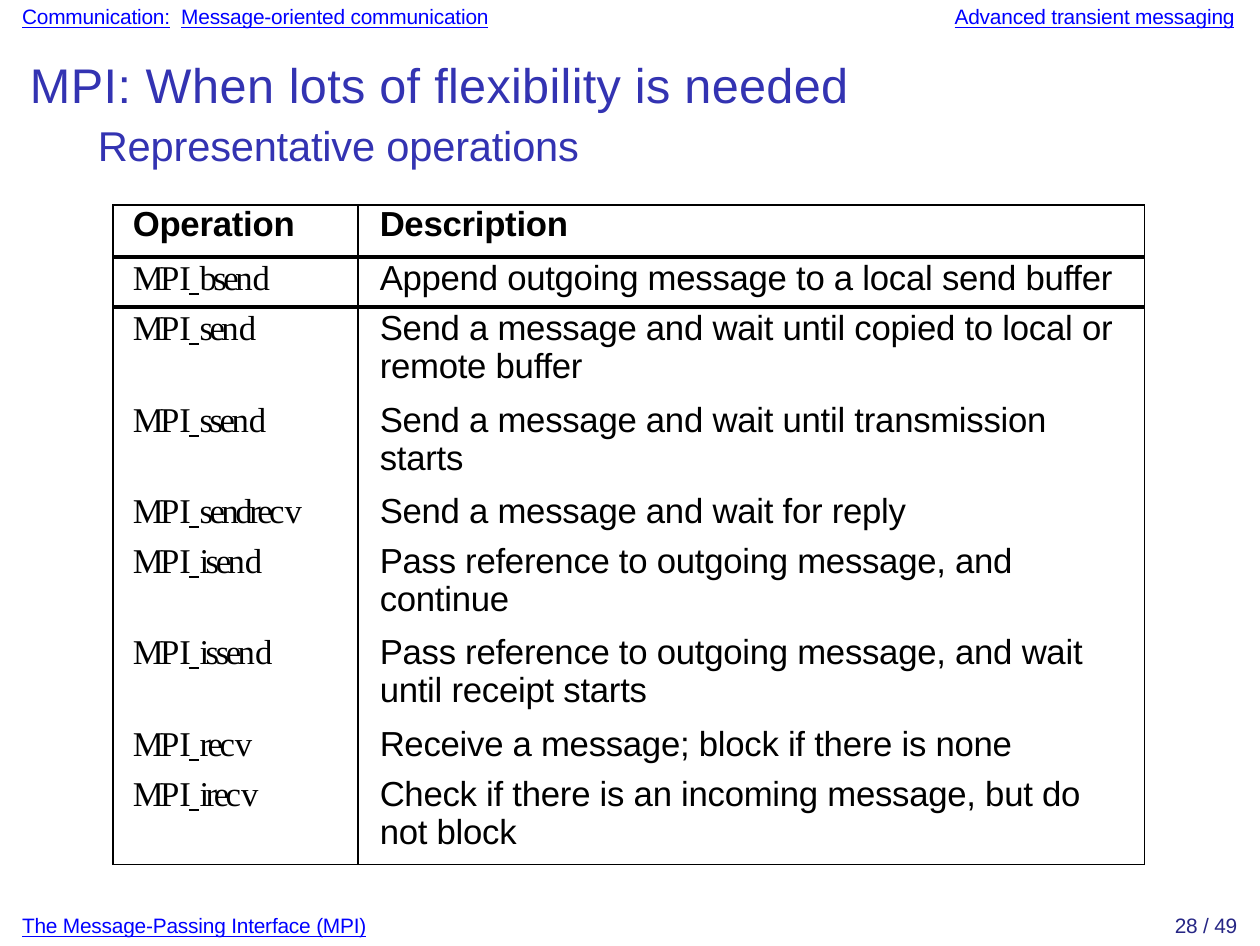
"""Build the slide listing representative MPI operations."""
import pptx
import pptx.dml.color
import pptx.enum.shapes
import pptx.oxml
import pptx.oxml.ns
import pptx.util
from lxml import etree

PX = 3658
BLACK, LINK, TITLE, PAGE = "000000", "0000FF", "3333B2", "262685"
A = pptx.oxml.ns.nsdecls("a")
rgb = pptx.dml.color.RGBColor.from_string


def write(p, runs, size, color, font="Arial", bold=False, underline=False):
    for text, spacing in runs:
        r = p.add_run()
        r.text = text
        r.font.size = pptx.util.Pt(size)
        r.font.name = font
        r.font.bold = bold
        r.font.underline = underline and text != " "
        r.font.color.rgb = rgb(color)
        r._r.get_or_add_rPr().set("spc", str(spacing))


def add_text(s, left, top, width, height, margin_left, margin_top):
    tf = s.shapes.add_textbox(left * PX, top * PX, width * PX, height * PX).text_frame
    tf.word_wrap = True
    tf.margin_left, tf.margin_top = margin_left * PX, margin_top * PX
    tf.margin_right = tf.margin_bottom = 0
    return tf


prs = pptx.Presentation()
prs.slide_width, prs.slide_height = pptx.util.Pt(363), pptx.util.Pt(272.5)
s = prs.slides.add_slide(prs.slide_layouts[6])

navigation = [
    (18, 0, 480, 4, LINK, [("Communication:", -5), (" ", 160),
                           ("Message-oriented communication", -5)]),
    (952, 0, 290, 3, LINK, [("Advanced transient messaging", -5)]),
    (18, 909, 355, 4, LINK, [("The Message-Passing Interface (MPI)", -5)]),
    (1165, 909, 78, 10, PAGE, [("28 / 49", -5)]),
]
for left, top, width, indent, color, runs in navigation:
    tf = add_text(s, left, top, width, 32, indent, 4)
    write(tf.paragraphs[0], runs, 6, color, underline=color == LINK)

tf = add_text(s, 25, 45, 830, 130, 5, 10)
write(tf.paragraphs[0], [("MPI: ", 10), ("When ", 15),
                         ("lots of flexibility is needed", 8)], 14, TITLE)
p = tf.add_paragraph()
p._p.get_or_add_pPr().set("marL", str(68 * PX))
p.space_before = pptx.util.Pt(2)
write(p, [("Representative operations", -5)], 12, TITLE)

operations = [
    ("bsend", "Append outgoing message to a local send buffer", 50),
    ("send", "Send a message and wait until copied to local or remote buffer", 92),
    ("ssend", "Send a message and wait until transmission starts", 91),
    ("sendrecv", "Send a message and wait for reply", 50),
    ("isend", "Pass reference to outgoing message, and continue", 91),
    ("issend", "Pass reference to outgoing message, and wait until receipt starts", 92),
    ("recv", "Receive a message; block if there is none", 50),
    ("irecv", "Check if there is an incoming message, but do not block", 92),
]
heights = [52] + [height for _, _, height in operations]
row_count = len(heights)
table_top = 205
table = s.shapes.add_table(row_count, 2, 113 * PX, table_top * PX,
                           1032 * PX, sum(heights) * PX).table
table.first_row = table.horz_banding = False
for column, width in zip(table.columns, (245, 787)):
    column.width = width * PX
for row, height in zip(table.rows, heights):
    row.height = height * PX

for column, heading in enumerate(("Operation", "Description")):
    p = table.cell(0, column).text_frame.paragraphs[0]
    write(p, [(heading, -5)], 10, BLACK, bold=True)
for row, (name, description, _) in enumerate(operations, 1):
    p = table.cell(row, 0).text_frame.paragraphs[0]
    runs = [("MP", -100), ("I ", 0), (name[:-1], -100), (name[-1], 0)]
    write(p, runs, 10, BLACK, "Times New Roman")
    p = table.cell(row, 1).text_frame.paragraphs[0]
    p.line_spacing = 0.99
    write(p, [(description, -5)], 10, BLACK)

rules = {0: 0.5, 1: 1.5, 2: 1.25, row_count: 0.5}
for row in range(row_count):
    for column in range(2):
        cell = table.cell(row, column)
        cell.margin_left = (22 if column else 20) * PX
        cell.margin_right = 20 * PX if column else 0
        cell.margin_top = 3 * PX if row else 0
        cell.margin_bottom = 0
        tcPr = cell._tc.get_or_add_tcPr()
        borders = {"L": 0.5, "R": 0.5, "T": rules.get(row), "B": rules.get(row + 1)}
        for side, points in borders.items():
            if points:
                xml = (f'<a:ln{side} {A} w="{int(points * 12700)}"><a:solidFill>'
                       f'<a:srgbClr val="{BLACK}"/></a:solidFill></a:ln{side}>')
            else:
                xml = f'<a:ln{side} {A} w="0"><a:noFill/></a:ln{side}>'
            tcPr.append(pptx.oxml.parse_xml(xml))
        cell.fill.background()

for row in range(1, row_count):
    y = (table_top + sum(heights[:row]) + 37) * PX
    underscore = s.shapes.add_connector(
        pptx.enum.shapes.MSO_CONNECTOR.STRAIGHT, 189 * PX, y, 199 * PX, y)
    underscore.line.color.rgb = rgb(BLACK)
    underscore.line.width = pptx.util.Pt(0.4)
    etree.SubElement(underscore._element.spPr, pptx.oxml.ns.qn("a:effectLst"))

prs.save("out.pptx")
